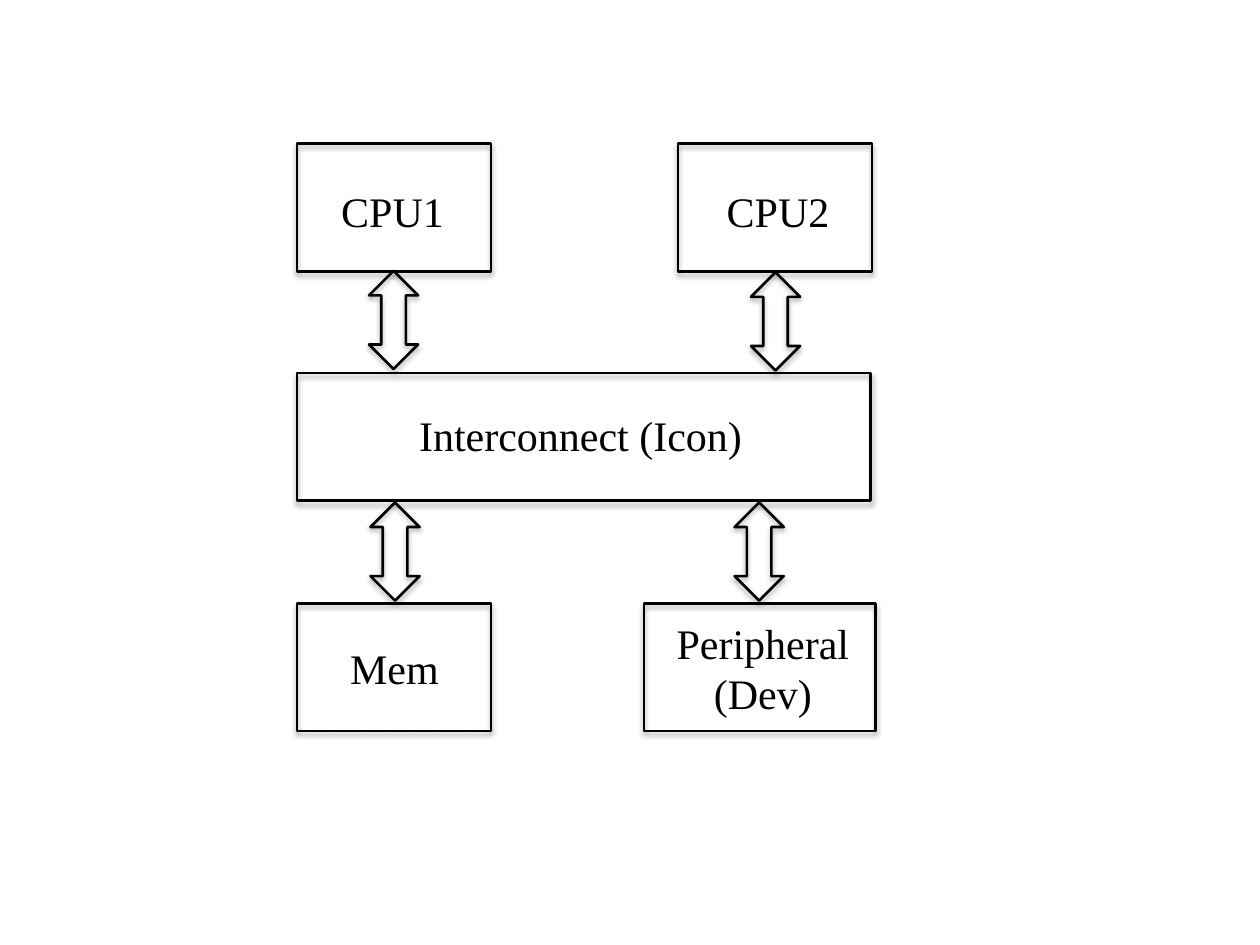
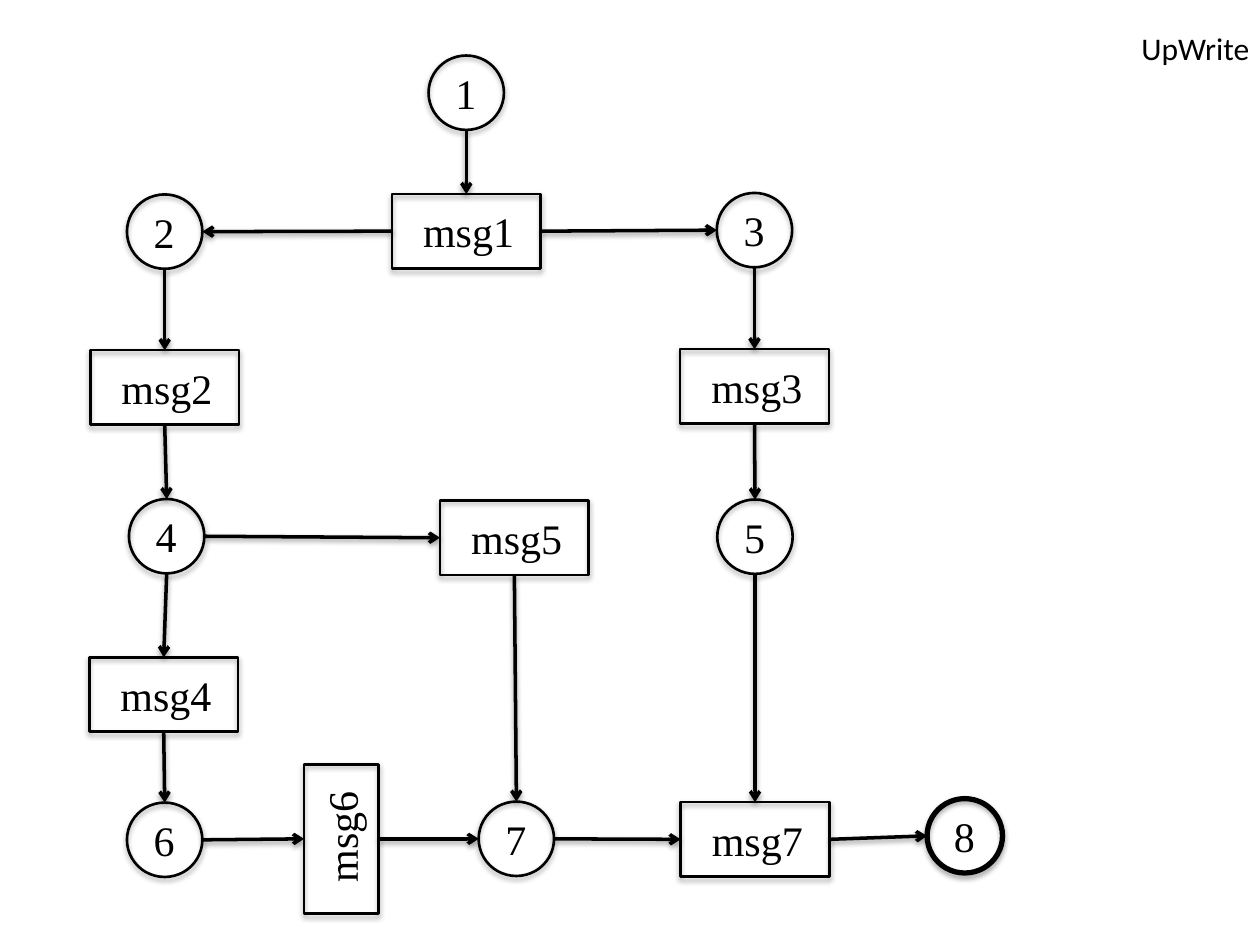
from pptx import Presentation
from pptx.dml.color import RGBColor
from pptx.enum.shapes import MSO_CONNECTOR as Link, MSO_SHAPE as Preset
from pptx.enum.text import MSO_AUTO_SIZE as AutoSize, PP_ALIGN as Align
from pptx.oxml import parse_xml
from pptx.oxml.ns import nsdecls
from pptx.util import Cm, Pt

COLOURS = {"ink": "000000"}
SERIF, SANS = "Times New Roman", "Calibri"
OUTLINE, BOLD_OUTLINE, ARROW_LINE = 1.5, 3, 2   # points
SHAPE_SHADOW = {"opacity": 35, "distance": 1.8}
ARROW_SHADOW = {"opacity": 38, "distance": 1.6}

# Block diagram, all lengths in cm: outline and label as left, top, width, height
BLOCK_HEIGHT = 2.57
BLOCKS = [
    (["CPU1"], (5.99, 2.9, 3.91), (6.63, 3.61, 2.62, 1.27)),
    (["CPU2"], (13.67, 2.9, 3.91), (14.4, 3.61, 2.62, 1.27)),
    (["Interconnect (Icon)"], (5.99, 7.52, 11.56), (8.2, 8.13, 7.09, 1.27)),
    (["Mem"], (5.99, 12.17, 3.91), (6.81, 12.83, 2.31, 1.27)),
    (["Peripheral", "(Dev)"], (12.98, 12.17, 4.67), (13.36, 12.32, 4.04, 2.31)),
]
BUS_SIZE = (0.99, 1.98)
BUSES = [(7.44, 5.46), (15.14, 5.49), (7.47, 10.13), (14.81, 10.13)]

# Message flow: numbered states and messages by centre
STATE_SIZE, STATE_LABEL = (1.52, 1.5), (0.94, 1.27)
MESSAGE_SIZE, MESSAGE_LABEL = (3.0, 1.5), (2.36, 1.27)
MESSAGE_SHIFT = 0.06
NODES = {
    "1": (9.4, 1.87), "2": (3.32, 4.67), "msg1": (9.4, 4.66),
    "3": (15.21, 4.64), "msg2": (3.32, 7.81), "msg3": (15.21, 7.79),
    "4": (3.36, 10.81), "5": (15.22, 10.82), "msg4": (3.3, 14.0),
    "6": (3.32, 16.93), "msg5": (10.37, 10.84), "msg6": (6.88, 16.91),
    "7": (10.41, 16.91), "msg7": (15.22, 16.92), "8": (19.45, 16.85),
}
UPRIGHT, FINAL = "msg6", "8"
FLOWS = [
    ("1", "msg1"), ("msg1", "2"), ("msg1", "3"), ("2", "msg2"),
    ("3", "msg3"), ("msg2", "4"), ("msg3", "5"), ("4", "msg4"),
    ("4", "msg5"), ("msg4", "6"), ("msg5", "7"), ("5", "msg7"),
    ("6", "msg6"), ("msg6", "7"), ("7", "msg7"), ("msg7", "8"),
]
FLOW_NAME, FLOW_NAME_AT = "UpWrite", (22.76, 0.46, 2.74, 1.02)


def ink():
    """Return the drawing colour."""
    return RGBColor.from_string(COLOURS["ink"])


def add_shadow(item, opacity, distance):
    """Give a shape or connector a soft shadow straight below it."""
    item._element.spPr.append(parse_xml(
        f'<a:effectLst {nsdecls("a")}><a:outerShdw blurRad="{Pt(3.1)}" '
        f'dist="{Pt(distance)}" dir="5400000" rotWithShape="0">'
        f'<a:srgbClr val="{COLOURS["ink"]}"><a:alpha val="{opacity * 1000}"/>'
        '</a:srgbClr></a:outerShdw></a:effectLst>'))


def add_outline(shapes, preset, area, width=OUTLINE):
    """Add an unfilled, outlined preset shape."""
    shape = shapes.add_shape(preset, *map(Cm, area))
    shape.fill.background()
    shape.line.color.rgb = ink()
    shape.line.width = Pt(width)
    add_shadow(shape, **SHAPE_SHADOW)
    return shape


def add_label(shapes, lines, area, font=SERIF, size=24):
    """Add a text box with one paragraph per line."""
    box = shapes.add_textbox(*map(Cm, area))
    frame = box.text_frame
    frame.word_wrap = False
    frame.auto_size = AutoSize.SHAPE_TO_FIT_TEXT
    for index, line in enumerate(lines):
        para = frame.add_paragraph() if index else frame.paragraphs[0]
        if len(lines) > 1:
            para.alignment = Align.CENTER
        span = para.add_run()
        span.text = line
        span.font.name, span.font.size = font, Pt(size)
        span.font.color.rgb = ink()
    return box


def centred(centre, size):
    """Turn a centre and a size into left, top, width, height."""
    (x, y), (width, height) = centre, size
    return x - width / 2, y - height / 2, width, height


def is_message(name):
    """Tell messages from numbered states."""
    return name.startswith("msg")


def add_node(page, name):
    """Add a state circle or message box, grouped with its label."""
    x, y = NODES[name]
    shapes = page.shapes.add_group_shape().shapes
    message, upright = is_message(name), name == UPRIGHT
    preset = Preset.RECTANGLE if message else Preset.OVAL
    size = MESSAGE_SIZE if message else STATE_SIZE
    shape = add_outline(shapes, preset, centred((x, y), size),
                        BOLD_OUTLINE if name == FINAL else OUTLINE)
    shift = MESSAGE_SHIFT if message else 0
    centre = (x, y - shift) if upright else (x + shift, y)
    label = add_label(shapes, [name],
                      centred(centre, MESSAGE_LABEL if message else STATE_LABEL))
    if upright:
        shape.rotation = label.rotation = 270


def edge_point(name, other):
    """Find the middle of the side of a node that faces another node."""
    (x, y), (other_x, other_y) = NODES[name], NODES[other]
    width, height = MESSAGE_SIZE if is_message(name) else STATE_SIZE
    if name == UPRIGHT:
        width, height = height, width
    across, down = other_x - x, other_y - y
    if abs(across) > abs(down):
        return x + (width / 2 if across > 0 else -width / 2), y
    return x, y + (height / 2 if down > 0 else -height / 2)


def add_flow(page, source, target):
    """Draw an arrow from one node to the next."""
    ends = edge_point(source, target) + edge_point(target, source)
    arrow = page.shapes.add_connector(Link.STRAIGHT, *map(Cm, ends))
    arrow.line.color.rgb = ink()
    arrow.line.width = Pt(ARROW_LINE)
    arrow.line._get_or_add_ln().append(
        parse_xml(f'<a:tailEnd {nsdecls("a")} type="arrow"/>'))
    add_shadow(arrow, **ARROW_SHADOW)


def build_blocks(page):
    """Draw the block diagram."""
    for lines, outline, label in BLOCKS:
        add_outline(page.shapes, Preset.RECTANGLE, outline + (BLOCK_HEIGHT,))
        add_label(page.shapes, lines, label)
    for corner in BUSES:
        add_outline(page.shapes, Preset.UP_DOWN_ARROW, corner + BUS_SIZE)


def build_flow(page):
    """Draw the message flow."""
    for name in NODES:
        add_node(page, name)
    for source, target in FLOWS:
        add_flow(page, source, target)
    add_label(page.shapes, [FLOW_NAME], FLOW_NAME_AT, SANS, 18)


deck = Presentation()
deck.slide_width, deck.slide_height = Cm(25.4), Cm(19.05)
for build in (build_blocks, build_flow):
    build(deck.slides.add_slide(deck.slide_layouts[6]))
deck.save("out.pptx")
